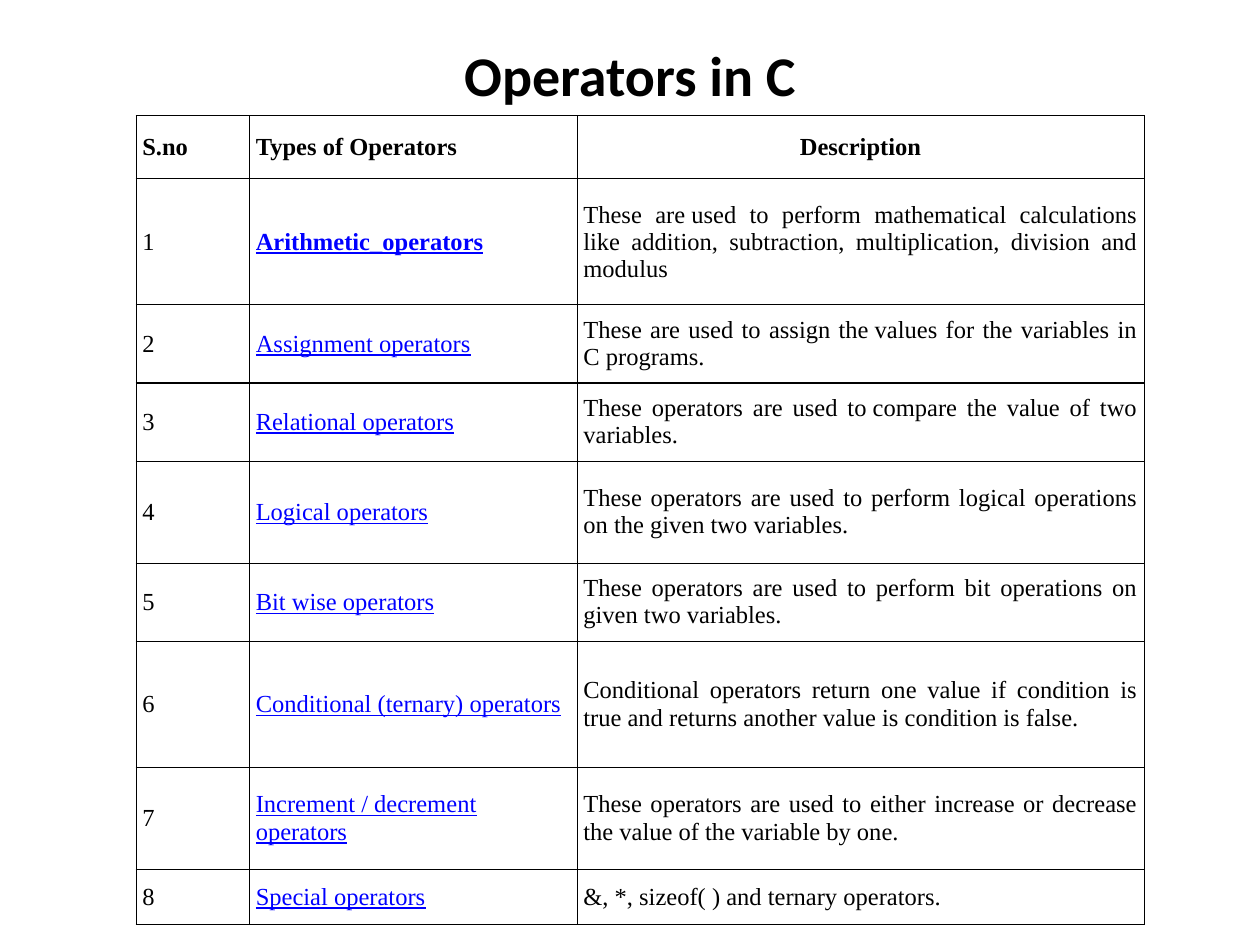
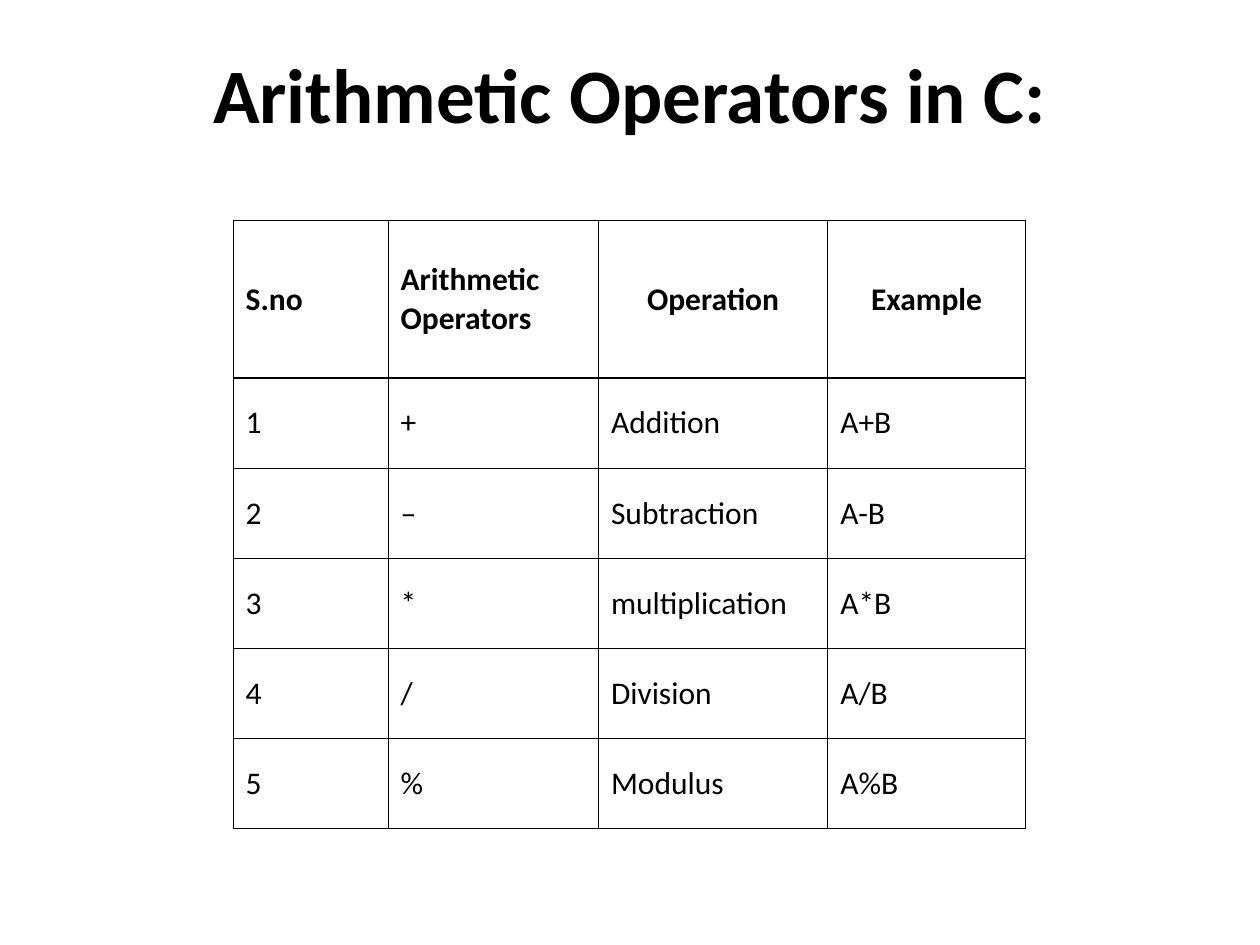
from lxml import etree
from pptx import Presentation
from pptx.dml.color import RGBColor
from pptx.enum.text import MSO_ANCHOR, MSO_AUTO_SIZE, PP_ALIGN
from pptx.oxml.ns import qn
from pptx.util import Inches, Pt

BLACK = RGBColor(0x00, 0x00, 0x00)
BLUE = RGBColor(0x00, 0x00, 0xFF)
SANS = "Calibri"
SERIF = "Times New Roman"
TITLE_ONLY = 5
BORDER_WIDTH = Pt(0.75)

OPERATOR_TYPES = [
    ("Arithmetic_operators",
     "These are\u00a0used to perform mathematical calculations like addition, "
     "subtraction, multiplication, division and modulus"),
    ("Assignment operators",
     "These are used to assign the\u00a0values for the variables in C programs."),
    ("Relational operators",
     "These operators are used to\u00a0compare the value of two variables."),
    ("Logical operators",
     "These operators are used to perform logical operations on the given two variables."),
    ("Bit wise operators",
     "These operators are used to perform bit operations on given two variables."),
    ("Conditional (ternary) operators",
     "Conditional operators return one value if condition is true and returns "
     "another value is condition is false."),
    ("Increment / decrement operators",
     "These operators are used to either increase or decrease the value of the "
     "variable by one."),
    ("Special operators", "&, *, sizeof( ) and ternary operators."),
]

ARITHMETIC = [
    ("+", "Addition", "A+B"),
    ("\u2013", "Subtraction", "A-B"),
    ("*", "multiplication", "A*B"),
    ("/", "Division", "A/B"),
    ("%", "Modulus", "A%B"),
]


def style_font(font, name, size, bold=False, color=BLACK):
    font.name = name
    font.size = Pt(size)
    font.bold = bold
    font.color.rgb = color


def add_titled_slide(prs, text, top, height, size):
    slide = prs.slides.add_slide(prs.slide_layouts[TITLE_ONLY])
    title = slide.shapes.title
    title.left, title.top = Inches(0.5), Inches(top)
    title.width, title.height = Inches(9), Inches(height)
    frame = title.text_frame
    frame.text = text
    frame.word_wrap = True
    frame.auto_size = MSO_AUTO_SIZE.NONE
    frame.vertical_anchor = MSO_ANCHOR.MIDDLE
    paragraph = frame.paragraphs[0]
    paragraph.alignment = PP_ALIGN.CENTER
    style_font(paragraph.runs[0].font, SANS, size, bold=True)
    return slide


def set_borders(cell):
    properties = cell._tc.get_or_add_tcPr()
    for side in ("lnL", "lnR", "lnT", "lnB"):
        line = etree.SubElement(properties, qn("a:" + side), w=str(BORDER_WIDTH))
        fill = etree.SubElement(line, qn("a:solidFill"))
        etree.SubElement(fill, qn("a:srgbClr"), val=str(BLACK))


def add_grid(slide, left, top, widths, heights, rows, font, size, header_aligns, body_aligns):
    frame = slide.shapes.add_table(
        len(heights), len(widths), Inches(left), Inches(top),
        Inches(sum(widths)), Inches(sum(heights)))
    table = frame.table
    table.first_row = table.horz_banding = False
    for column, width in zip(table.columns, widths):
        column.width = Inches(width)
    for row, height in zip(table.rows, heights):
        row.height = Inches(height)
    for r, values in enumerate(rows):
        aligns = body_aligns if r else header_aligns
        for c, (value, align) in enumerate(zip(values, aligns)):
            cell = table.cell(r, c)
            set_borders(cell)
            cell.fill.background()
            cell.vertical_anchor = MSO_ANCHOR.MIDDLE
            cell.text = value
            paragraph = cell.text_frame.paragraphs[0]
            paragraph.alignment = align
            style_font(paragraph.runs[0].font, font, size, bold=r == 0)
    return table


def number_rows(header, records):
    return [header] + [(str(n), *record) for n, record in enumerate(records, 1)]


def tighten_cells(table):
    for cell in table.iter_cells():
        cell.margin_left = cell.margin_right = Inches(0.05)
        cell.margin_top = cell.margin_bottom = Inches(0.02)


def style_operator_names(table):
    for r in range(1, len(table.rows)):
        font = table.cell(r, 1).text_frame.paragraphs[0].runs[0].font
        font.color.rgb = BLUE
        font.underline = True
        font.bold = r == 1


def build_operator_types(prs):
    slide = add_titled_slide(prs, "Operators in C", 0.25, 0.67, 32)
    table = add_grid(
        slide, 1.08, 0.92, [0.9, 2.6, 4.5],
        [0.5, 1, 0.62, 0.62, 0.81, 0.62, 1, 0.81, 0.44],
        number_rows(("S.no", "Types of Operators", "Description"), OPERATOR_TYPES),
        SERIF, 14,
        [PP_ALIGN.LEFT, PP_ALIGN.LEFT, PP_ALIGN.CENTER],
        [PP_ALIGN.LEFT, PP_ALIGN.LEFT, PP_ALIGN.JUSTIFY])
    tighten_cells(table)
    style_operator_names(table)


def build_arithmetic(prs):
    slide = add_titled_slide(prs, "Arithmetic Operators in C:", 0.3, 0.87, 44)
    header = ("S.no", "Arithmetic Operators", "Operation", "Example")
    add_grid(
        slide, 1.85, 1.75, [1.23, 1.67, 1.82, 1.57],
        [1.25] + [0.716] * len(ARITHMETIC),
        number_rows(header, ARITHMETIC), SANS, 18,
        [PP_ALIGN.LEFT] * 2 + [PP_ALIGN.CENTER] * 2,
        [PP_ALIGN.LEFT] * 4)


def main():
    prs = Presentation()
    prs.slide_width, prs.slide_height = Inches(10), Inches(7.5)
    build_operator_types(prs)
    build_arithmetic(prs)
    prs.save("out.pptx")


main()
